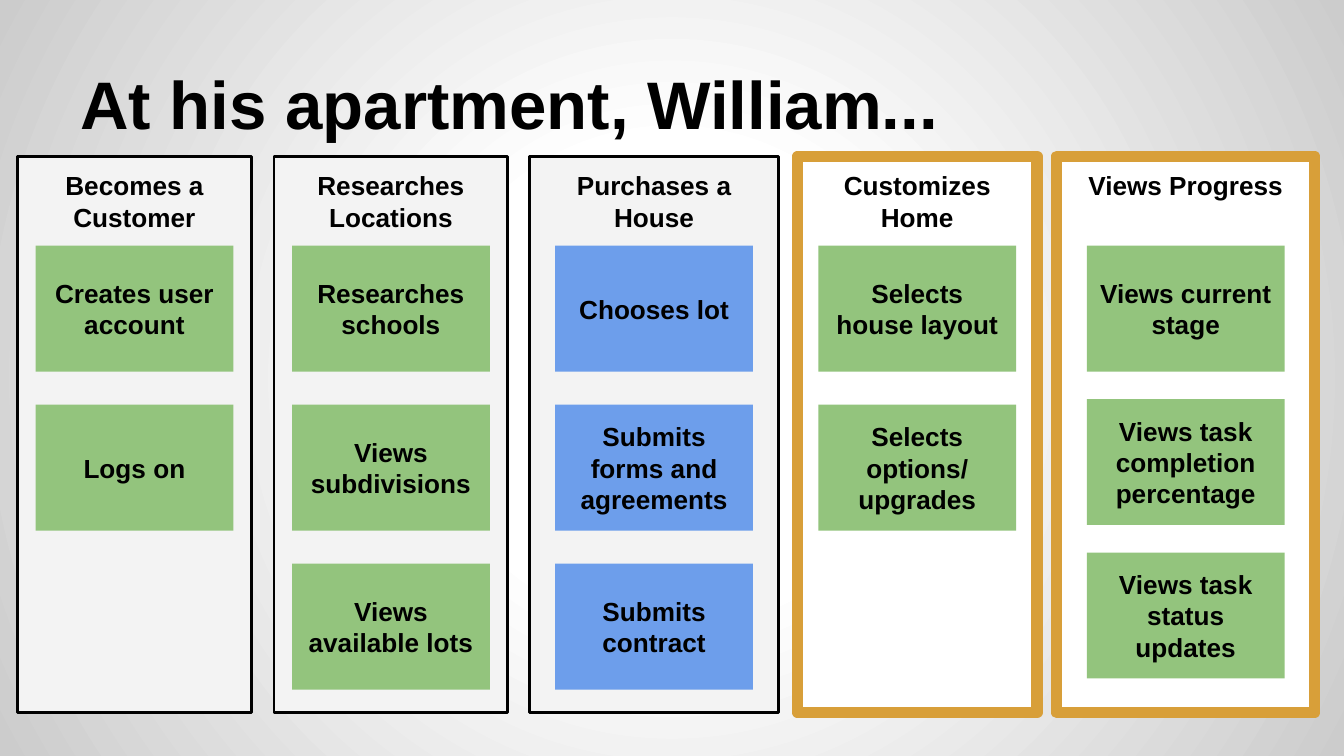
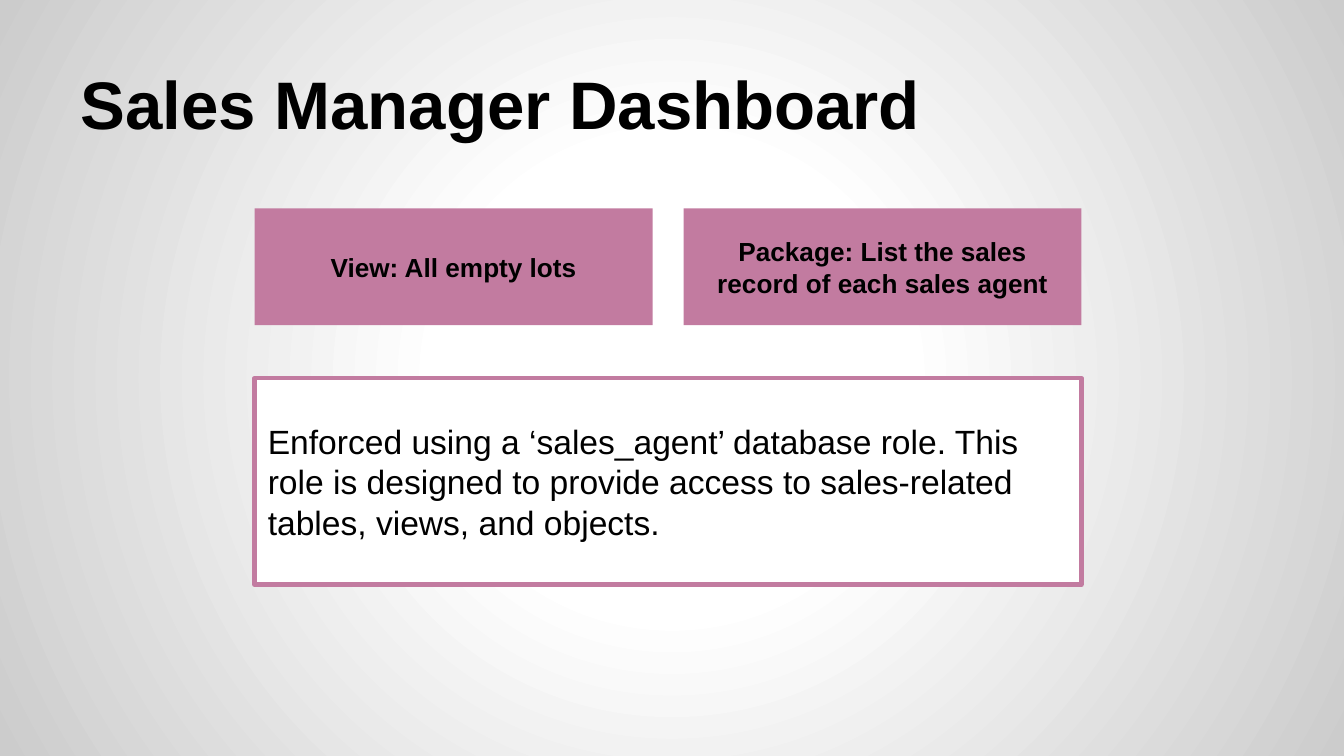
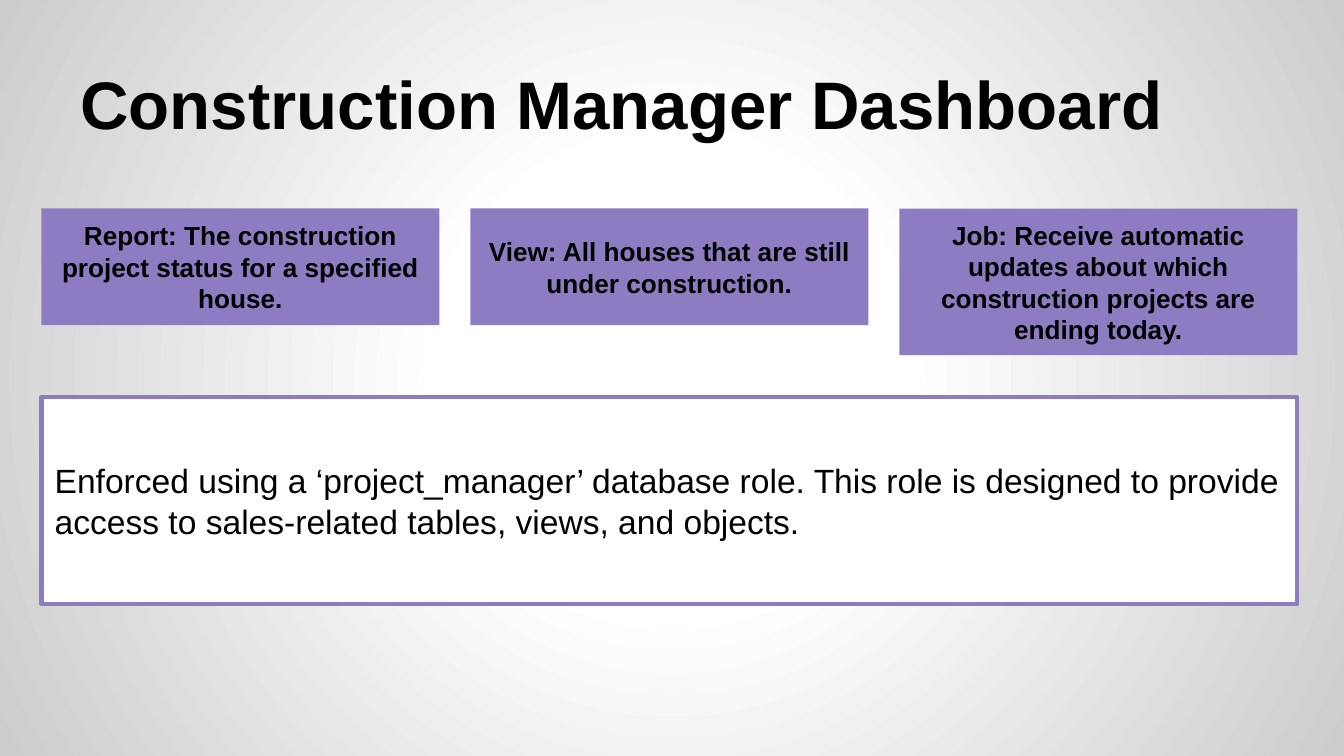
"""Build three slides: a customer journey board and two manager dashboards."""
import pptx
import pptx.dml.color
import pptx.enum.shapes
import pptx.enum.text
import pptx.oxml
import pptx.util

Pt = pptx.util.Pt
ALIGN = pptx.enum.text.PP_ALIGN
ANCHOR = pptx.enum.text.MSO_ANCHOR
COLORS = {
    "black": "000000",
    "white": "FFFFFF",
    "edge": "CCCCCC",
    "column": "F3F3F3",
    "highlight": "D89F39",
    "green": "93C47D",
    "blue": "6D9EEB",
    "pink": "C27BA0",
    "purple": "8E7CC3",
}


def write(shape, text, size=14, bold=True, align=ALIGN.CENTER, anchor=ANCHOR.MIDDLE):
    """Fill a shape with formatted text, one paragraph per line."""
    frame = shape.text_frame
    frame.word_wrap = True
    frame.vertical_anchor = anchor
    frame.margin_left = frame.margin_right = Pt(7.2)
    frame.margin_top = frame.margin_bottom = Pt(7.2)
    frame.text = text
    for paragraph in frame.paragraphs:
        paragraph.alignment = align
        font = paragraph.runs[0].font
        font.name, font.size, font.bold = "Arial", Pt(size), bold
        font.color.rgb = pptx.dml.color.RGBColor.from_string(COLORS["black"])


def add_box(slide, left, top, width, height, fill, line=None, line_width=0):
    """Add a flat rectangle with an optional outline."""
    box = slide.shapes.add_shape(
        pptx.enum.shapes.MSO_SHAPE.RECTANGLE, Pt(left), Pt(top), Pt(width), Pt(height))
    box.shadow.inherit = False
    box.fill.solid()
    box.fill.fore_color.rgb = pptx.dml.color.RGBColor.from_string(COLORS[fill])
    if line:
        box.line.color.rgb = pptx.dml.color.RGBColor.from_string(COLORS[line])
        box.line.width = Pt(line_width)
    else:
        box.line.fill.background()
    return box


deck = pptx.Presentation()
deck.slide_width, deck.slide_height = Pt(720), Pt(405)

deck.slide_master.background.fill.solid()
backdrop = deck.slide_master.element.cSld.bg.bgPr
stops = "".join(
    f'<a:gs pos="{position}"><a:srgbClr val="{COLORS[color]}"/></a:gs>'
    for position, color in ((0, "white"), (30000, "white"), (100000, "edge")))
backdrop.replace(backdrop[0], pptx.oxml.parse_xml(
    '<a:gradFill xmlns:a="http://schemas.openxmlformats.org/drawingml/2006/main">'
    f'<a:gsLst>{stops}</a:gsLst><a:path path="circle">'
    '<a:fillToRect l="50000" t="50000" r="50000" b="50000"/></a:path></a:gradFill>'))

slides = []
for title in ("At his apartment, William...", "Sales Manager Dashboard",
              "Construction Manager Dashboard"):
    slide = deck.slides.add_slide(deck.slide_layouts[6])
    heading = slide.shapes.add_textbox(Pt(36), Pt(16.3), Pt(648), Pt(67.5))
    write(heading, title, size=36, align=ALIGN.LEFT, anchor=ANCHOR.BOTTOM)
    slides.append(slide)
journey, *dashboards = slides

plain = ("column", "black", 1.5)
highlighted = ("white", "highlight", 6)
STEP_WIDTH, STEP_HEIGHT, STEP_TOP = 106, 67.5, 131.6
stages = [
    ("Becomes a Customer", 9.4, 125.3, plain, "green", 85.2,
     ["Creates user account", "Logs on"]),
    ("Researches Locations", 146.8, 125.3, plain, "green", 85.2,
     ["Researches schools", "Views subdivisions", "Views available lots"]),
    ("Purchases a House", 283.8, 133.2, plain, "blue", 85.2,
     ["Chooses lot", "Submits forms and agreements", "Submits contract"]),
    ("Customizes Home", 427.2, 128.4, highlighted, "green", 85.2,
     ["Selects house layout", "Selects options/\nupgrades"]),
    ("Views Progress", 566, 138.4, highlighted, "green", 82.2,
     ["Views current stage", "Views task completion percentage",
      "Views task status updates"]),
]
for stage, left, width, style, step_color, pitch, steps in stages:
    column = add_box(journey, left, 83.8, width, 298, *style)
    write(column, stage, anchor=ANCHOR.TOP)
    step_left = left + (width - STEP_WIDTH) / 2
    for row, step in enumerate(steps):
        card = add_box(journey, step_left, STEP_TOP + row * pitch,
                       STEP_WIDTH, STEP_HEIGHT, step_color)
        write(card, step)

FEATURE_WIDTH, FEATURE_PITCH = 213.2, 229.8
roles = [
    ("sales_agent", "pink", 136.4, 202.5,
     [("View: All empty lots", 62.6),
      ("Package: List the sales record of each sales agent", 62.6)]),
    ("project_manager", "purple", 22.2, 212.8,
     [("Report: The construction project status for a specified house.", 62.6),
      ("View: All houses that are still under construction.", 62.6),
      ("Job: Receive automatic updates about which construction projects "
       "are ending today.", 78.6)]),
]
for dashboard, (role, color, left, note_top, features) in zip(dashboards, roles):
    for index, (feature, height) in enumerate(features):
        card = add_box(dashboard, left + index * FEATURE_PITCH, 111.7,
                       FEATURE_WIDTH, height, color)
        write(card, feature)
    note_width = (len(features) - 1) * FEATURE_PITCH + FEATURE_WIDTH
    note = add_box(dashboard, left, note_top, note_width, 110.7, "white", color, 2.25)
    write(note, f"Enforced using a ‘{role}’ database role. This role is designed to "
          "provide access to sales-related tables, views, and objects.",
          size=18, bold=False, align=ALIGN.LEFT)

deck.save("out.pptx")
